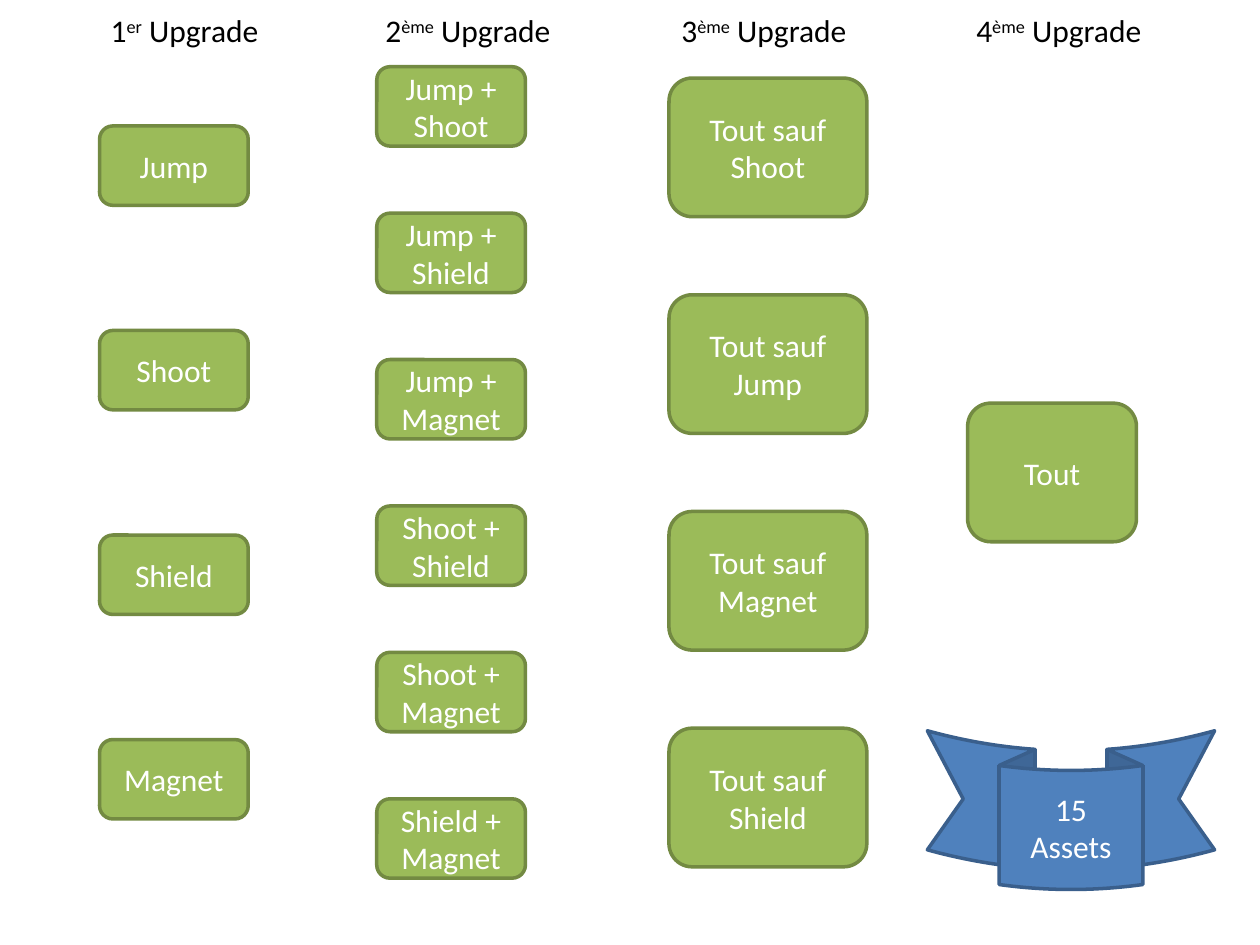
import pptx
import pptx.dml.color
import pptx.enum.shapes
import pptx.enum.text
import pptx.util

Inches = pptx.util.Inches
RGBColor = pptx.dml.color.RGBColor
MSO_SHAPE = pptx.enum.shapes.MSO_SHAPE

BLACK = RGBColor(0x00, 0x00, 0x00)
WHITE = RGBColor(0xFF, 0xFF, 0xFF)
GREEN = RGBColor(0x9B, 0xBB, 0x59)
DARK_GREEN = RGBColor(0x73, 0x8A, 0x42)
BLUE = RGBColor(0x4F, 0x81, 0xBD)
DARK_BLUE = RGBColor(0x3A, 0x5F, 0x8C)


def add_span(para, text, color):
    """Add one run of 18 point Calibri and return it."""
    span = para.add_run()
    span.text = text
    span.font.name = "Calibri"
    span.font.size = pptx.util.Pt(18)
    span.font.color.rgb = color
    return span


def add_heading(page, left, top, width, height, number, suffix):
    """Add an upgrade heading with a raised ordinal suffix."""
    box = page.shapes.add_textbox(Inches(left), Inches(top), Inches(width), Inches(height))
    box.text_frame.word_wrap = False
    box.text_frame.auto_size = pptx.enum.text.MSO_AUTO_SIZE.SHAPE_TO_FIT_TEXT
    para = box.text_frame.paragraphs[0]
    add_span(para, str(number), BLACK)
    raised = add_span(para, suffix, BLACK)
    raised.font._element.set("baseline", "30000")
    add_span(para, " Upgrade", BLACK)


def add_card(page, kind, left, top, width, height, text, fill, outline):
    """Add a filled shape with centred white text."""
    card = page.shapes.add_shape(kind, Inches(left), Inches(top), Inches(width), Inches(height))
    card.shadow.inherit = False
    card.fill.solid()
    card.fill.fore_color.rgb = fill
    card.line.color.rgb = outline
    card.line.width = pptx.util.Pt(2)
    card.text_frame.word_wrap = True
    card.text_frame.vertical_anchor = pptx.enum.text.MSO_ANCHOR.MIDDLE
    para = card.text_frame.paragraphs[0]
    para.alignment = pptx.enum.text.PP_ALIGN.CENTER
    add_span(para, text, WHITE)


def add_column(page, left, top, width, height, card_height, labels):
    """Spread green cards evenly from the top to the bottom of a column."""
    step = (height - card_height) / max(len(labels) - 1, 1)
    for index, label in enumerate(labels):
        add_card(page, MSO_SHAPE.ROUNDED_RECTANGLE, left, top + index * step,
                 width, card_height, label, GREEN, DARK_GREEN)


def build_upgrades(page):
    """Place the headings, the four upgrade columns and the total ribbon."""
    headings = [(0.78, 1.41, "er"), (2.96, 1.57, "ème"), (5.31, 1.57, "ème"), (7.65, 1.57, "ème")]
    for number, (left, width, suffix) in enumerate(headings, 1):
        add_heading(page, left, 0.04, width, 0.4, number, suffix)

    add_column(page, 0.79, 1, 1.18, 5.5, 0.63, ["Jump", "Shoot", "Shield", "Magnet"])
    add_column(page, 2.99, 0.53, 1.18, 6.44, 0.63, [
        "Jump + Shoot", "Jump + Shield", "Jump + Magnet",
        "Shoot + Shield", "Shoot + Magnet", "Shield + Magnet"])
    add_column(page, 5.31, 0.62, 1.57, 6.26, 1.1, [
        "Tout sauf " + power for power in ("Shoot", "Jump", "Magnet", "Shield")])
    add_column(page, 7.68, 3.2, 1.34, 1.1, 1.1, ["Tout"])
    add_card(page, MSO_SHAPE.CURVED_DOWN_RIBBON, 7.36, 5.8, 2.28, 1.26, "15 Assets", BLUE, DARK_BLUE)


deck = pptx.Presentation()
deck.slide_width = Inches(10)
deck.slide_height = Inches(7.5)
build_upgrades(deck.slides.add_slide(deck.slide_layouts[6]))
deck.save("out.pptx")
